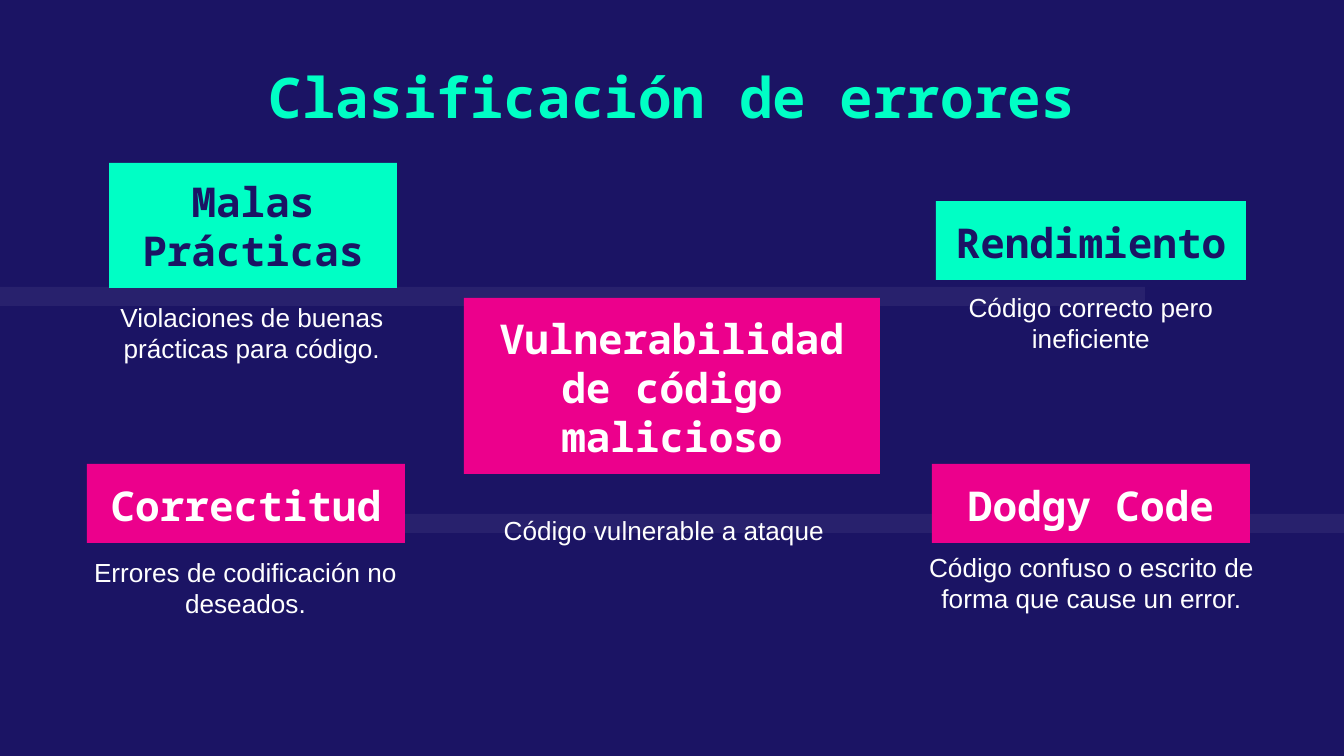
from lxml.etree import SubElement
from pptx import Presentation
from pptx.dml.color import RGBColor
from pptx.enum.shapes import MSO_SHAPE as SHAPE
from pptx.enum.text import MSO_ANCHOR as ANCHOR, PP_ALIGN as ALIGN
from pptx.oxml.ns import qn
from pptx.util import Inches, Pt

PX = Inches(1) / 134.4
WIDTH, HEIGHT = 1344, 756
PADDING = 13
COLORS = {"navy": "1B1464", "mint": "00FFC5", "pink": "EC008C", "white": "FFFFFF"}

TITLE = ("Clasificación de errores", (188, 50, 968, 98))
BANDS = [(0, 287, 1145, 19), (137, 514, 1207, 19)]
BAND_OPACITY = 6

# heading, heading box, fill, heading colour, description, description box
CATEGORIES = [
    ("Malas Prácticas", (109, 163, 288, 125), "mint", "navy",
     "Violaciones de buenas prácticas para código.", (56, 288, 392, 98)),
    ("Vulnerabilidad de código malicioso", (464, 298, 416, 176), "pink", "white",
     "Código vulnerable a ataque", (488, 501, 352, 125)),
    ("Correctitud", (87, 464, 318, 79), "pink", "white",
     "Errores de codificación no deseados.", (56, 543, 379, 152)),
    ("Dodgy Code", (932, 464, 318, 79), "pink", "white",
     "Código confuso o escrito de forma que cause un error.", (902, 538, 379, 152)),
    ("Rendimiento", (936, 201, 310, 79), "mint", "navy",
     "Código correcto pero ineficiente", (895, 278, 392, 98)),
]

TITLE_FONT = {"name": "Noto Sans Mono", "size": Pt(30), "bold": True}
HEADING_FONT = {"name": "Noto Sans Mono", "size": Pt(22), "bold": True}
DESCRIPTION_FONT = {"name": "Arial", "size": Pt(14), "bold": False}


def emu(*lengths):
    return [round(length * PX) for length in lengths]


def rgb(color):
    return RGBColor.from_string(COLORS[color])


def add_block(slide, box, color):
    block = slide.shapes.add_shape(SHAPE.RECTANGLE, *emu(*box))
    block.shadow.inherit = False
    block.fill.solid()
    block.fill.fore_color.rgb = rgb(color)
    block.line.fill.background()
    return block


def add_band(slide, box):
    """Add a faint white stripe behind the content."""
    band = add_block(slide, box, "white")
    tint = band.fill._xPr.find(qn("a:solidFill"))[0]
    SubElement(tint, qn("a:alpha"), val=str(BAND_OPACITY * 1000))


def write(shape, text, font, color, anchor=ANCHOR.TOP):
    frame = shape.text_frame
    frame.word_wrap = True
    frame.vertical_anchor = anchor
    for side in ("left", "top", "right", "bottom"):
        setattr(frame, f"margin_{side}", emu(PADDING)[0])
    paragraph = frame.paragraphs[0]
    paragraph.alignment = ALIGN.CENTER
    run = paragraph.add_run()
    run.text = text
    for attribute, value in font.items():
        setattr(run.font, attribute, value)
    run.font.color.rgb = rgb(color)


def add_text(slide, text, box, font, color):
    write(slide.shapes.add_textbox(*emu(*box)), text, font, color)


def main():
    deck = Presentation()
    deck.slide_width, deck.slide_height = emu(WIDTH, HEIGHT)
    slide = deck.slides.add_slide(deck.slide_layouts[6])
    slide.background.fill.solid()
    slide.background.fill.fore_color.rgb = rgb("navy")

    for band in BANDS:
        add_band(slide, band)
    add_text(slide, *TITLE, TITLE_FONT, "mint")
    for heading, heading_box, fill, ink, description, description_box in CATEGORIES:
        add_text(slide, description, description_box, DESCRIPTION_FONT, "white")
        block = add_block(slide, heading_box, fill)
        write(block, heading, HEADING_FONT, ink, ANCHOR.BOTTOM)

    deck.save("out.pptx")


if __name__ == "__main__":
    main()
